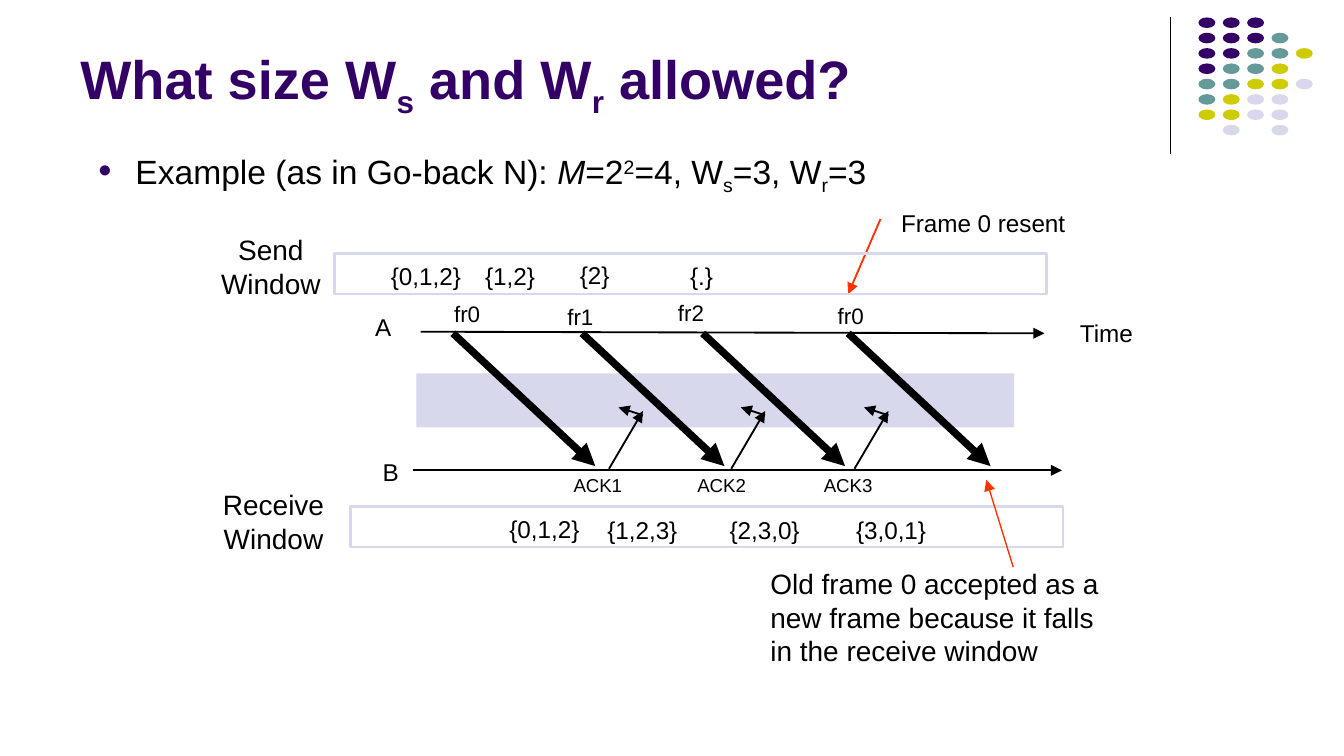
import pptx
import pptx.util
import pptx.dml.color
import pptx.enum.shapes
import pptx.enum.text
import pptx.oxml
import pptx.oxml.ns
from lxml import etree

Cm, Pt = pptx.util.Cm, pptx.util.Pt
ALIGN = pptx.enum.text.PP_ALIGN
SHAPE = pptx.enum.shapes.MSO_SHAPE
COLOURS = {"ink": "000000", "purple": "330066", "teal": "669999",
           "olive": "CCCC00", "lavender": "D8D8EC", "alert": "FF3300"}
DOT_ROWS = ["ppp", "pppt", "pptto", "ptto", "ttool", "toll", "ooll", " l l"]
DOT_COLOURS = {"p": "purple", "t": "teal", "o": "olive", "l": "lavender"}


def rgb(name):
    """Return the named palette colour."""
    return pptx.dml.color.RGBColor.from_string(COLOURS[name])


def add_xml(parent, tag, **attributes):
    """Append a DrawingML element to its parent."""
    element = etree.SubElement(parent, pptx.oxml.ns.qn(tag))
    for key, value in attributes.items():
        element.set(key, value)
    return element


def add_run(paragraph, text, size, colour="ink", bold=False, italic=False, baseline=0):
    """Add one formatted run, raised or lowered by a baseline percentage."""
    run = paragraph.add_run()
    run.text = text
    run.font.name = "Arial"
    run.font.size = Pt(size)
    run.font.bold = bold
    run.font.italic = italic
    run.font.color.rgb = rgb(colour)
    if baseline:
        run.font._element.set("baseline", str(baseline * 1000))


def set_frame(frame, inset, wrap):
    """Set the insets and wrapping of a text frame."""
    frame.margin_left = frame.margin_right = Cm(inset)
    frame.margin_top = frame.margin_bottom = Cm(inset / 2)
    frame.word_wrap = wrap


def add_label(slide, lines, box, size=13, align=ALIGN.LEFT, inset=0.24, wrap=False):
    """Add a text box with one paragraph per line."""
    frame = slide.shapes.add_textbox(*map(Cm, box)).text_frame
    set_frame(frame, inset, wrap)
    for number, line in enumerate(lines):
        paragraph = frame.add_paragraph() if number else frame.paragraphs[0]
        paragraph.alignment = align
        add_run(paragraph, line, size)


def add_centred(slide, labels, width, height, size=13):
    """Add short labels, each given as text, centre and top."""
    for text, centre, top in labels:
        add_label(slide, [text], (centre - width / 2, top, width, height),
                  size, ALIGN.CENTER)


def add_shape(slide, kind, box, fill=None, outline=None):
    """Add a preset shape with an optional fill and outline."""
    shape = slide.shapes.add_shape(kind, *map(Cm, box))
    shape.shadow.inherit = False
    if fill:
        shape.fill.solid()
        shape.fill.fore_color.rgb = rgb(fill)
    else:
        shape.fill.background()
    if outline:
        shape.line.color.rgb = rgb(outline)
        shape.line.width = Pt(1.5)
    else:
        shape.line.fill.background()


def add_line(slide, start, end, width=1, colour="ink", arrow=True):
    """Add a straight line, with an arrowhead at its end by default."""
    line = slide.shapes.add_connector(
        pptx.enum.shapes.MSO_CONNECTOR.STRAIGHT, *map(Cm, start + end))
    line.line.width = Pt(width)
    line.line.color.rgb = rgb(colour)
    if arrow:
        add_xml(line.line._get_or_add_ln(), "a:tailEnd", type="triangle")
    add_xml(line._element.spPr, "a:effectLst")


def add_dots(slide):
    """Draw the corner dots and the rule beside them."""
    add_line(slide, (22.12, 0.33), (22.12, 2.92), 0.75, arrow=False)
    for row, codes in enumerate(DOT_ROWS):
        for column, code in enumerate(codes):
            if code in DOT_COLOURS:
                box = (22.65 + 0.46 * column, 0.33 + 0.29 * row, 0.32, 0.2)
                add_shape(slide, SHAPE.OVAL, box, DOT_COLOURS[code])


def add_heading(slide):
    """Fill the title placeholder."""
    title = slide.shapes.title
    title.left, title.top, title.width, title.height = map(Cm, (1.27, 0.25, 20.96, 2.13))
    frame = title.text_frame
    set_frame(frame, 0.25, True)
    frame.vertical_anchor = pptx.enum.text.MSO_ANCHOR.BOTTOM
    paragraph = frame.paragraphs[0]
    paragraph.alignment = ALIGN.LEFT
    for text, baseline in [("What size W", 0), ("s", -25), (" and W", 0),
                           ("r", -25), (" allowed?", 0)]:
        add_run(paragraph, text, 29, "purple", bold=True, baseline=baseline)


def add_example(slide):
    """Add the bulleted example."""
    frame = slide.shapes.add_textbox(Cm(1.6), Cm(2.74), Cm(17.15), Cm(1.12)).text_frame
    set_frame(frame, 0.25, True)
    paragraph = frame.paragraphs[0]
    paragraph.line_spacing = 0.9
    paragraph.space_before = Pt(4.5)
    properties = paragraph._p.get_or_add_pPr()
    properties.set("marL", str(Cm(0.71)))
    properties.set("indent", str(Cm(-0.71)))
    add_xml(add_xml(properties, "a:buClr"), "a:srgbClr", val=COLOURS["purple"])
    add_xml(properties, "a:buSzPct", val="70000")
    add_xml(properties, "a:buFont", typeface="Arial")
    add_xml(properties, "a:buChar", char="●")
    for text, baseline in [("Example (as in Go-back N): ", 0), ("M", 0), ("=2", 0),
                           ("2", 30), ("=4, W", 0), ("s", -25), ("=3, W", 0),
                           ("r", -25), ("=3", 0)]:
        add_run(paragraph, text, 18, italic=text == "M", baseline=baseline)


def add_timeline(slide):
    """Draw stations A and B with the frames and acknowledgements between them."""
    for text, left, top in [("A", 6.85, 5.79), ("B", 6.99, 8.53), ("Time", 20.17, 5.9)]:
        add_label(slide, [text], (left, top, 1.8, 0.79))
    add_centred(slide, [("fr0", 8.83, 5.56), ("fr1", 10.97, 5.61),
                        ("fr2", 13.06, 5.54), ("fr0", 16.08, 5.59)], 1.45, 0.74, 12)
    for number, left in enumerate((10.69, 13.03, 15.42), 1):
        add_label(slide, [f"ACK{number}"], (left, 8.88, 1.35, 0.58), 10, inset=0.15)
    add_shape(slide, SHAPE.RECTANGLE, (7.87, 7.06, 11.3, 1.02), "lavender")
    add_line(slide, (7.95, 6.27), (19.74, 6.3))
    add_line(slide, (7.8, 8.89), (20.07, 8.89))
    for sent in (8.56, 11, 13.28, 16.03):
        add_line(slide, (sent, 6.3), (sent + 2.69, 8.81), 4)
    for reply in (11.51, 13.82, 16.15):
        add_line(slide, (reply, 8.86), (reply + 0.64, 7.77))
        add_line(slide, (reply + 0.64, 7.85), (reply + 0.18, 7.7))


def add_window(slide, name, name_box, frame_box, states):
    """Draw a named window bar with its successive states."""
    add_shape(slide, SHAPE.RECTANGLE, frame_box, outline="lavender")
    add_label(slide, [name], name_box, 15, ALIGN.CENTER, 0.25, True)
    add_centred(slide, states, 2.1, 0.81)


def main():
    """Build the sliding-window slide."""
    deck = pptx.Presentation()
    deck.slide_width, deck.slide_height = Cm(25.4), Cm(14.29)
    slide = deck.slides.add_slide(deck.slide_layouts[5])
    add_dots(slide)
    add_heading(slide)
    add_example(slide)
    add_timeline(slide)
    add_line(slide, (16.64, 4.14), (16.03, 5.56), colour="alert")
    add_label(slide, ["Frame 0 resent"], (16.85, 3.84, 3.8, 0.74), inset=0.18)
    add_window(slide, "Send Window", (3.71, 4.27, 2.82, 1.52), (6.32, 4.8, 13.46, 0.76),
               [("{0,1,2}", 8.05, 4.82), ("{1,2}", 9.64, 4.82),
                ("{2}", 11.24, 4.8), ("{.}", 13.26, 4.82)])
    add_window(slide, "Receive Window", (3.71, 9.09, 2.92, 1.52), (6.63, 9.58, 13.46, 0.76),
               [("{0,1,2}", 10.29, 9.6), ("{1,2,3}", 12.14, 9.62),
                ("{2,3,0}", 14.45, 9.62), ("{3,0,1}", 16.84, 9.62)])
    add_line(slide, (19.15, 10.72), (18.64, 9.07), 0.75, "alert")
    add_label(slide, ["Old frame 0 accepted as a", "new frame because it falls",
                      "in the receive window"], (14.38, 10.62, 6.8, 2.08), 15, inset=0.18)
    deck.save("out.pptx")


main()
